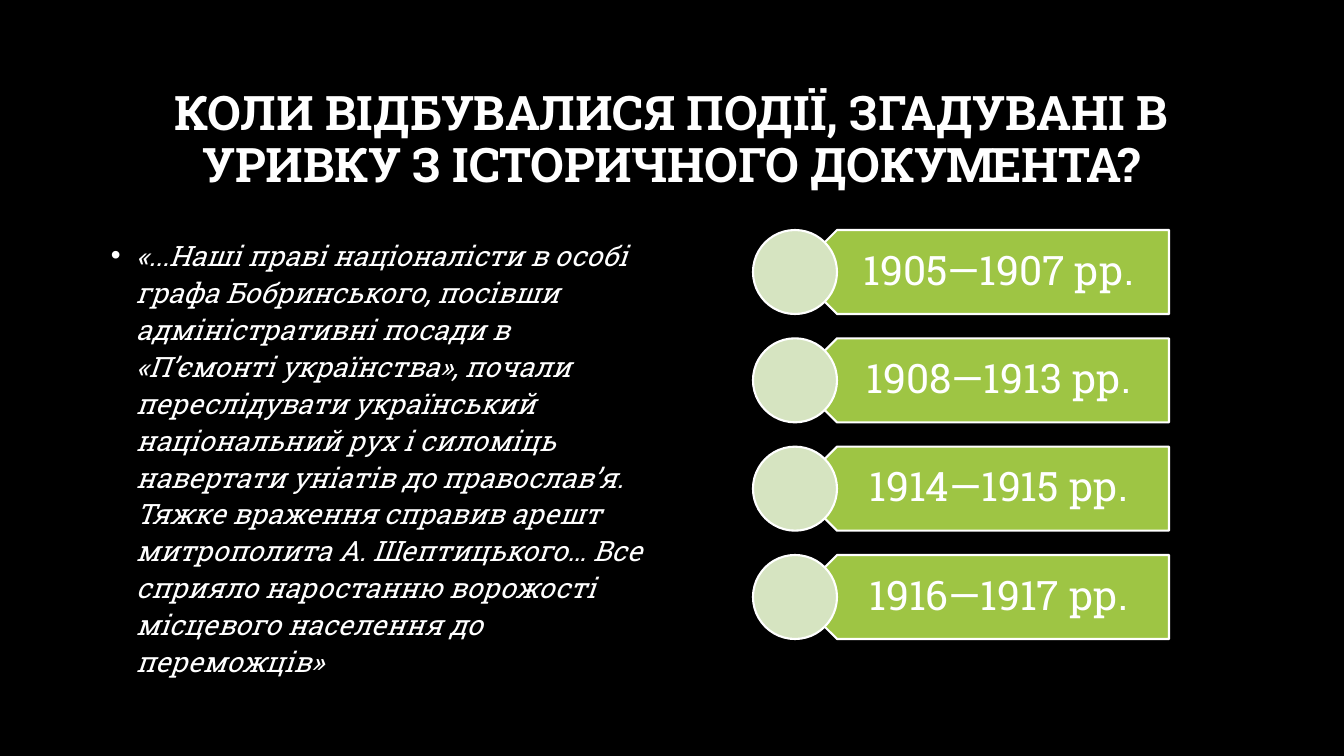
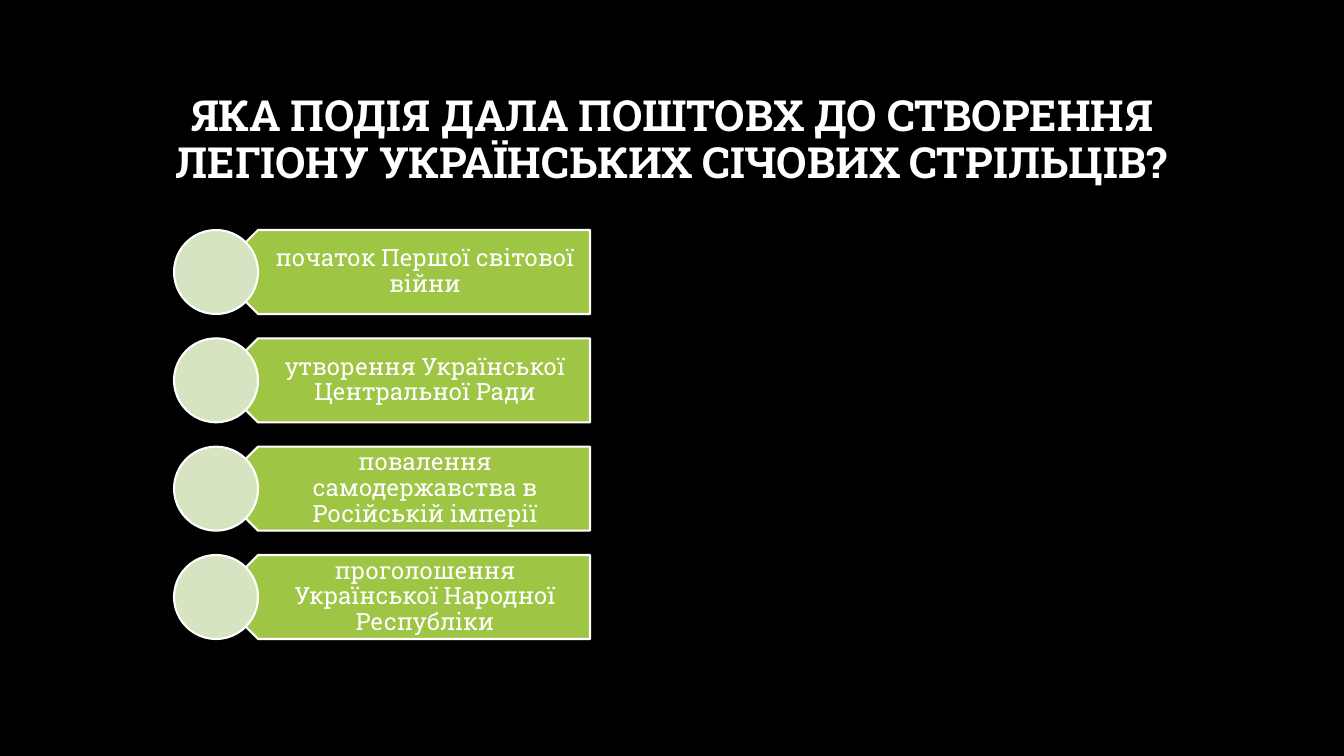
from lxml import etree
from pptx import Presentation
from pptx.dml.color import RGBColor
from pptx.enum.shapes import MSO_SHAPE
from pptx.enum.text import MSO_ANCHOR, PP_ALIGN
from pptx.oxml.ns import qn
from pptx.util import Emu, Pt

BLACK = RGBColor(0x00, 0x00, 0x00)
WHITE = RGBColor(0xFF, 0xFF, 0xFF)
GREEN = RGBColor(0x9E, 0xC5, 0x44)
PALE_GREEN = RGBColor(0xD6, 0xE4, 0xC1)
FONT = "Roboto Slab"

SLIDE_WIDTH, SLIDE_HEIGHT = 1344, 756
TITLE_BOX = (101, 68, 1141, 146)
QUOTE_BOX = (101, 230, 562, 408)
RIGHT_ANSWERS = (753, 230, 416, 409)
LEFT_ANSWERS = (174, 230, 416, 409)
ROW_HEIGHT = 84
BULLET_INDENT = 25

QUOTE = (
    "«...Наші праві націоналісти в особі графа Бобринського, посівши "
    "адміністративні посади в «П’ємонті українства», почали переслідувати "
    "український національний рух і силоміць навертати уніатів до православ’я. "
    "Тяжке враження справив арешт митрополита А. Шептицького… Все сприяло "
    "наростанню ворожості місцевого населення до переможців»"
)


def px(length):
    return Emu(round(length * 12192000 / SLIDE_WIDTH))


def add_text(page, box, text, size, spacing=0.9, anchor=MSO_ANCHOR.MIDDLE,
             align=PP_ALIGN.CENTER, insets=(10, 5, 10, 5)):
    """Place one wrapped paragraph and return it with its run."""
    frame = page.shapes.add_textbox(*map(px, box)).text_frame
    frame.word_wrap = True
    frame.vertical_anchor = anchor
    (frame.margin_left, frame.margin_top,
     frame.margin_right, frame.margin_bottom) = map(px, insets)
    para = frame.paragraphs[0]
    para.alignment = align
    para.line_spacing = spacing
    span = para.add_run()
    span.text = text
    span.font.name = FONT
    span.font.size = Pt(size)
    span.font.color.rgb = WHITE
    return para, span


def add_outlined(page, kind, box, fill):
    shape = page.shapes.add_shape(kind, *map(px, box))
    shape.shadow.inherit = False
    shape.fill.solid()
    shape.fill.fore_color.rgb = fill
    shape.line.color.rgb = WHITE
    shape.line.width = Pt(1.5)
    return shape


def add_title(page, text, size):
    _, span = add_text(page, TITLE_BOX, text, size)
    span.font.bold = True


def add_quote(page, box, text):
    para, span = add_text(page, box, text, 20, 1.1, MSO_ANCHOR.TOP, PP_ALIGN.LEFT)
    span.font.italic = True
    properties = para._p.get_or_add_pPr()
    properties.set("marL", str(px(BULLET_INDENT)))
    properties.set("indent", str(-px(BULLET_INDENT)))
    etree.SubElement(properties, qn("a:buFont"), typeface="Arial")
    etree.SubElement(properties, qn("a:buChar"), char="•")


def add_answers(page, box, answers, size, insets):
    """Spread the answers evenly over the box, each a banner with a circle."""
    left, top, width, height = box
    pitch = (height - ROW_HEIGHT) / (len(answers) - 1)
    banner_inset = ROW_HEIGHT // 2
    text_inset = ROW_HEIGHT * 3 // 4
    for index, answer in enumerate(answers):
        row_top = top + index * pitch
        banner = add_outlined(
            page, MSO_SHAPE.PENTAGON,
            (left + banner_inset, row_top, width - banner_inset, ROW_HEIGHT), GREEN)
        banner.rotation = 180
        add_text(page, (left + text_inset, row_top, width - text_inset, ROW_HEIGHT),
                 answer, size, insets=insets)
        add_outlined(page, MSO_SHAPE.OVAL,
                     (left, row_top, ROW_HEIGHT, ROW_HEIGHT), PALE_GREEN)


def add_page(deck):
    page = deck.slides.add_slide(deck.slide_layouts[6])
    page.background.fill.solid()
    page.background.fill.fore_color.rgb = BLACK
    return page


def add_document_question(deck):
    page = add_page(deck)
    add_title(page, "КОЛИ ВІДБУВАЛИСЯ ПОДІЇ, ЗГАДУВАНІ В УРИВКУ З "
                    "ІСТОРИЧНОГО ДОКУМЕНТА?", 34)
    add_quote(page, QUOTE_BOX, QUOTE)
    add_answers(page, RIGHT_ANSWERS,
                ["1905—1907 рр.", "1908—1913 рр.", "1914—1915 рр.", "1916—1917 рр."],
                29, (36, 12, 23, 12))


def add_legion_question(deck):
    page = add_page(deck)
    add_title(page, "ЯКА ПОДІЯ ДАЛА ПОШТОВХ ДО СТВОРЕННЯ ЛЕГІОНУ "
                    "УКРАЇНСЬКИХ СІЧОВИХ СТРІЛЬЦІВ?", 30.6)
    add_answers(page, LEFT_ANSWERS,
                ["початок Першої світової війни",
                 "утворення Української Центральної Ради",
                 "повалення самодержавства в Російській імперії",
                 "проголошення Української Народної Республіки"],
                17, (36, 7, 13, 7))


def main():
    deck = Presentation()
    deck.slide_width = px(SLIDE_WIDTH)
    deck.slide_height = px(SLIDE_HEIGHT)
    add_document_question(deck)
    add_legion_question(deck)
    deck.save("out.pptx")


if __name__ == "__main__":
    main()
